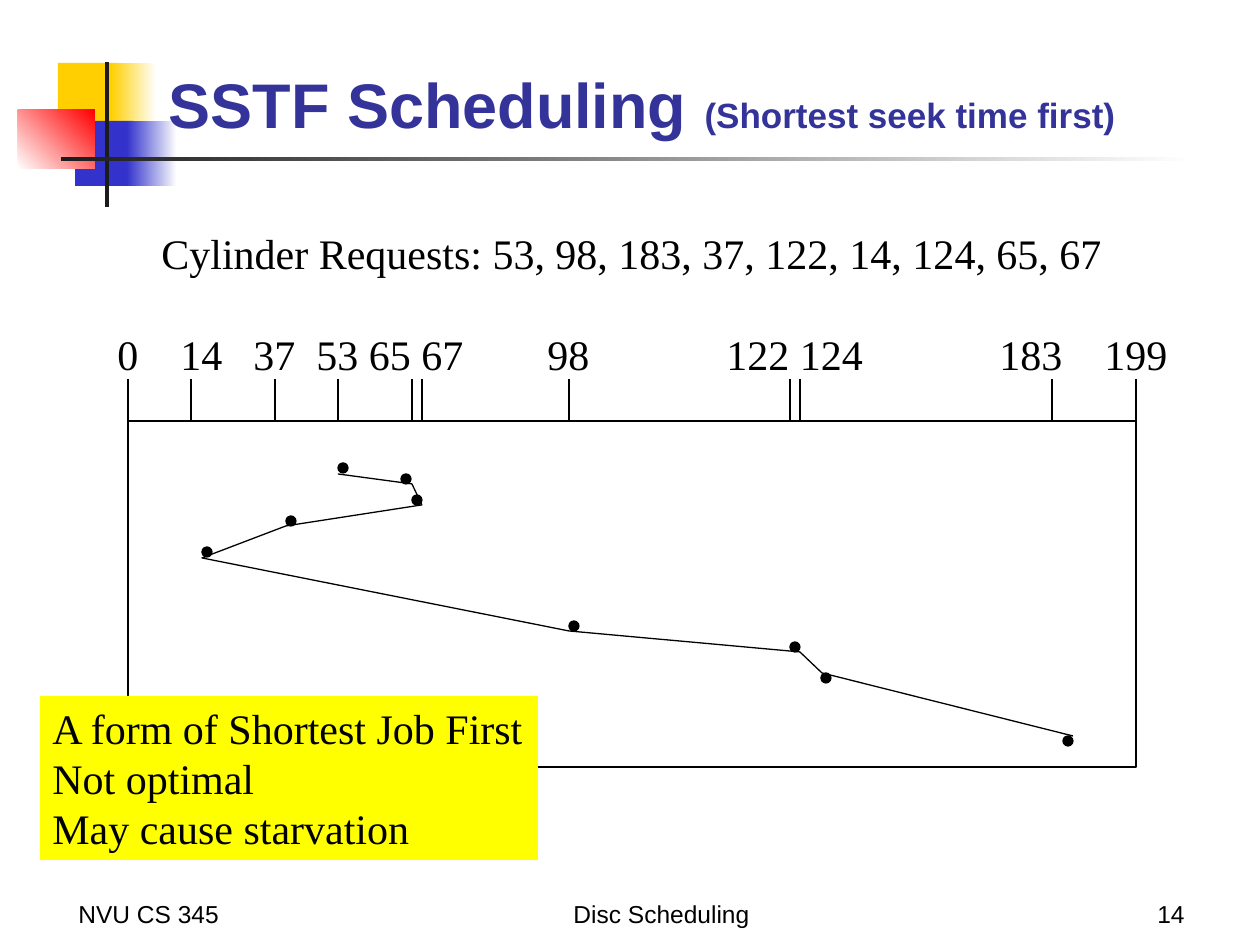
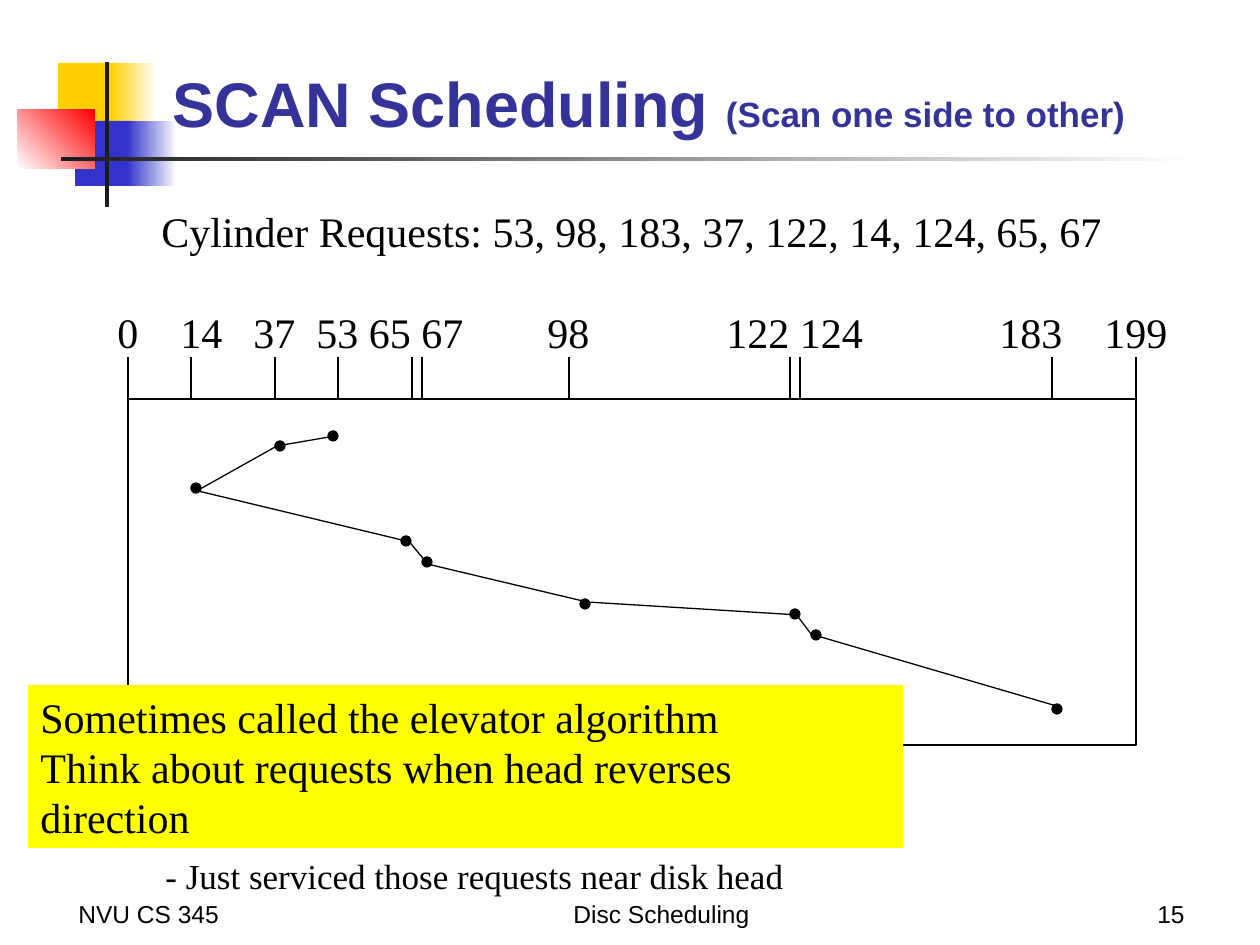
import pptx
import pptx.util
import pptx.dml.color
import pptx.enum.shapes
import pptx.enum.text
import pptx.oxml
import pptx.oxml.ns

UNIT = 914400 / 126  # EMU in one pixel
INK = {
    "black": "000000", "white": "FFFFFF", "title": "333399", "note": "FFFF00",
    "gold": "FFCF01", "blue": "3333CC", "red": "FF0000", "bar": "1C1C1C",
}
SANS, SERIF = "Arial", "Times New Roman"
FORM = pptx.enum.shapes.MSO_SHAPE
ALIGN = pptx.enum.text.PP_ALIGN
ANCHOR = pptx.enum.text.MSO_ANCHOR


def px(n):
    return pptx.util.Emu(round(n * UNIT))


def rgb(name):
    return pptx.dml.color.RGBColor.from_string(INK[name])


def pen(line):
    line.color.rgb = rgb("black")
    line.width = pptx.util.Pt(0.75)


def block(slide, box, fill=None, form=FORM.RECTANGLE, edge=False, turn=0):
    """Add a shape; fill is a colour, a pair of gradient colours or None."""
    shape = slide.shapes.add_shape(form, *map(px, box))
    shape.shadow.inherit = False
    if fill is None:
        shape.fill.background()
    elif isinstance(fill, tuple):
        shape.fill.gradient()
        shape.fill.gradient_angle = turn
        for stop, name, spot in zip(shape.fill.gradient_stops, fill, (0, 1)):
            stop.color.rgb = rgb(name)
            stop.position = spot
    else:
        shape.fill.solid()
        shape.fill.fore_color.rgb = rgb(fill)
    if edge:
        pen(shape.line)
    else:
        shape.line.fill.background()
    return shape


def rule(slide, start, end):
    line = slide.shapes.add_connector(
        pptx.enum.shapes.MSO_CONNECTOR.STRAIGHT, *map(px, start + end))
    pen(line.line)
    props = line._element.spPr
    props.append(pptx.oxml.parse_xml(
        "<a:effectLst %s/>" % pptx.oxml.ns.nsdecls("a")))


def style(run, size, font, tint="black", bold=False):
    run.font.size = pptx.util.Pt(size)
    run.font.name = font
    run.font.bold = bold
    run.font.color.rgb = rgb(tint)


def write(shape, lines, size, font, align=ALIGN.LEFT, anchor=ANCHOR.TOP,
          right=0):
    frame = shape.text_frame
    frame.word_wrap = True
    frame.vertical_anchor = anchor
    frame.margin_right = px(right)
    frame.text = "\n".join(lines)
    for para in frame.paragraphs:
        para.alignment = align
        for run in para.runs:
            style(run, size, font)
    return frame


def label(slide, box, text, *args, **more):
    return write(slide.shapes.add_textbox(*map(px, box)), [text],
                 *args, **more)


# Emblem and rules beside the title
def emblem(slide, left, top):
    parts = [
        (40, 1, 60, 66, "gold", 0),
        (93, 1, 45, 66, ("gold", "white"), 0),
        (57, 59, 58, 65, "blue", 0),
        (109, 59, 50, 65, ("blue", "white"), 0),
        (0, 48, 77, 59, ("white", "red"), 45),
        (87, 0, 4, 145, "bar", 0),
        (43, 95, 1134, 4, ("bar", "white"), 0),
    ]
    for x, y, wide, high, fill, turn in parts:
        block(slide, (left + x, top + y, wide, high), fill, turn=turn)


def title(slide, box, head, tail):
    frame = slide.shapes.add_textbox(*map(px, box)).text_frame
    frame.word_wrap = True
    frame.vertical_anchor = ANCHOR.BOTTOM
    frame.margin_left = frame.margin_right = px(6)
    para = frame.paragraphs[0]
    para.line_spacing = 0.85
    for text, size in ((head + " ", 36), (tail, 20)):
        run = para.add_run()
        run.text = text
        style(run, size, SANS, "title", True)


def footer(slide, top, page):
    cells = [
        (66, 262, "NVU CS 345", ALIGN.LEFT),
        (462, 399, "Disc Scheduling", ALIGN.CENTER),
        (935, 262, str(page), ALIGN.RIGHT),
    ]
    for left, wide, text, align in cells:
        label(slide, (left, top, wide, 63), text, 14, SANS,
              align, ANCHOR.BOTTOM, 12.6)


# Disc track: request list, cylinder scale and frame
def track(slide, box):
    left, top, wide, high = box
    label(slide, (left + 21, top - 200, 965, 63),
          "Cylinder Requests: 53, 98, 183, 37, 122, 14, 124, 65, 67",
          24, SERIF)
    block(slide, box, edge=True)
    for x in (0, 63, 147, 210, 284, 294, 441, 662, 672, 924, wide):
        rule(slide, (left + x, top - 42), (left + x, top))
    frame = label(slide, (left - 23, top - 99, 1075, 63),
                  "0\t14\t37\t53 65 67\t98\t122 124\t183\t199", 24, SERIF)
    stops = "".join('<a:tab pos="%d" algn="l"/>' % px(x)
                    for x in (63, 136, 199, 430, 609, 882, 987))
    props = frame.paragraphs[0]._p.get_or_add_pPr()
    props.append(pptx.oxml.parse_xml(
        "<a:tabLst %s>%s</a:tabLst>" % (pptx.oxml.ns.nsdecls("a"), stops)))


def dots(slide, box, spots):
    for x, y in spots:
        block(slide, (box[0] + x - 5, box[1] + y - 5, 10, 10), "black",
              FORM.OVAL, True)


def trail(slide, box, spots):
    points = [(px(box[0] + x), px(box[1] + y)) for x, y in spots]
    maker = slide.shapes.build_freeform(*points[0])
    maker.add_line_segments(points[1:], close=False)
    shape = maker.convert_to_shape()
    shape.shadow.inherit = False
    shape.fill.background()
    pen(shape.line)


def hops(slide, box, pairs):
    for x, y, to_x, to_y in pairs:
        rule(slide, (box[0] + x, box[1] + y), (box[0] + to_x, box[1] + to_y))


def note(slide, box, lines, right=0):
    write(block(slide, box, "note"), lines, 24, SERIF, right=right)


def base(deck, page, box, head, tail):
    slide = deck.slides.add_slide(deck.slide_layouts[6])
    emblem(slide, 18, 62)
    footer(slide, 872, page)
    title(slide, box, head, tail)
    return slide


# Shortest seek time first
def sstf(deck):
    slide = base(deck, 14, (163, 33, 1060, 115),
                 "SSTF Scheduling", "(Shortest seek time first)")
    box = (128, 421, 1008, 346)
    track(slide, box)
    trail(slide, box, [
        (210, 53), (284, 63), (294, 84), (158, 105), (74, 137),
        (441, 210), (672, 231), (694, 252), (945, 315)])
    note(slide, (40, 696, 498, 164), [
        "A form of Shortest Job First",
        "Not optimal",
        "May cause starvation"])
    dots(slide, box, [
        (215, 47), (278, 58), (289, 79), (163, 100), (79, 131),
        (446, 205), (667, 226), (698, 257), (940, 320)])


# Scan from one side to the other
def scan(deck):
    slide = base(deck, 15, (167, 33, 1068, 114),
                 "SCAN Scheduling", "(Scan one side to other)")
    box = (128, 399, 1008, 346)
    track(slide, box)
    dots(slide, box, [
        (205, 37), (152, 47), (68, 89), (278, 142), (299, 163),
        (457, 205), (667, 215), (688, 236), (929, 310)])
    note(slide, (28, 685, 875, 163), [
        "Sometimes called the elevator algorithm",
        "Think about requests when head reverses direction"], 30)
    label(slide, (153, 848, 660, 48),
          "- Just serviced those requests near disk head", 20, SERIF)
    hops(slide, box, [
        (207, 37, 149, 47), (149, 47, 65, 94), (66, 91, 278, 142),
        (279, 140, 299, 164), (295, 164, 459, 203), (459, 203, 671, 216),
        (668, 215, 686, 239), (686, 236, 932, 308)])


deck = pptx.Presentation()
deck.slide_width, deck.slide_height = px(1260), px(945)
sstf(deck)
scan(deck)
deck.save("out.pptx")
